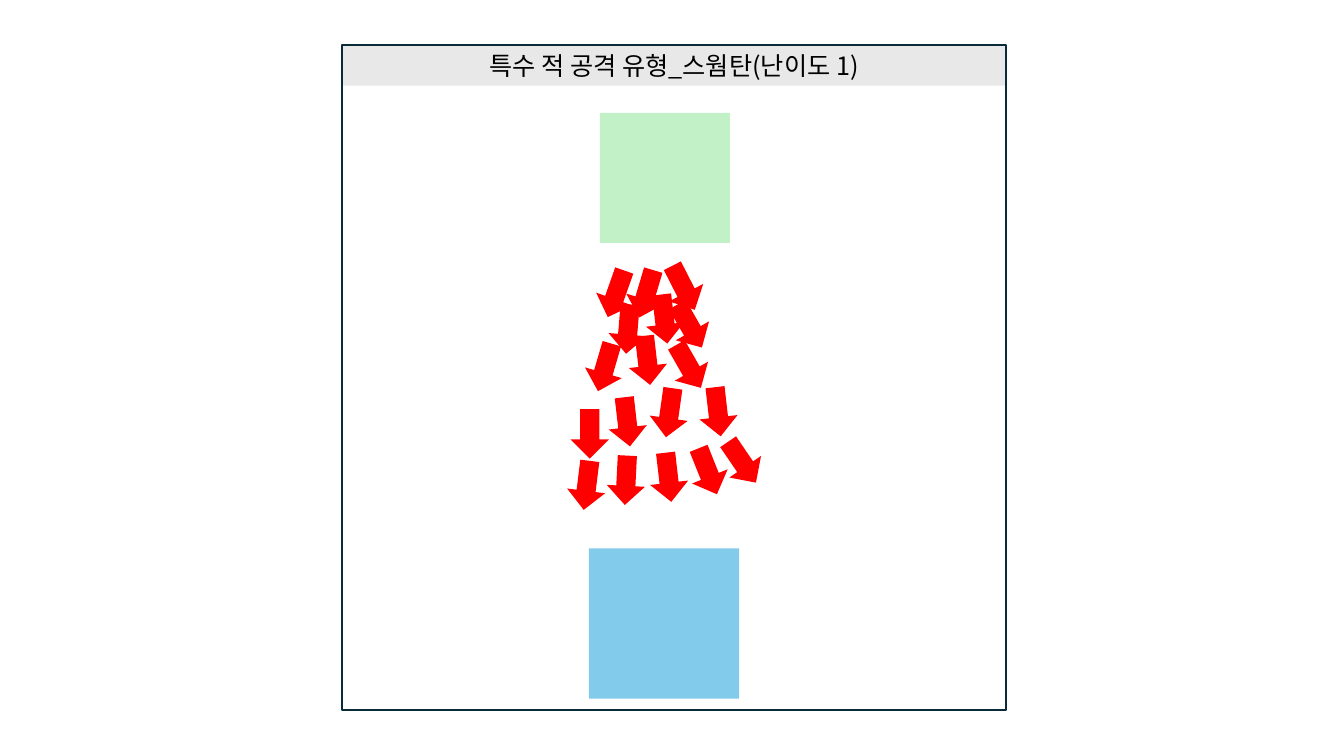
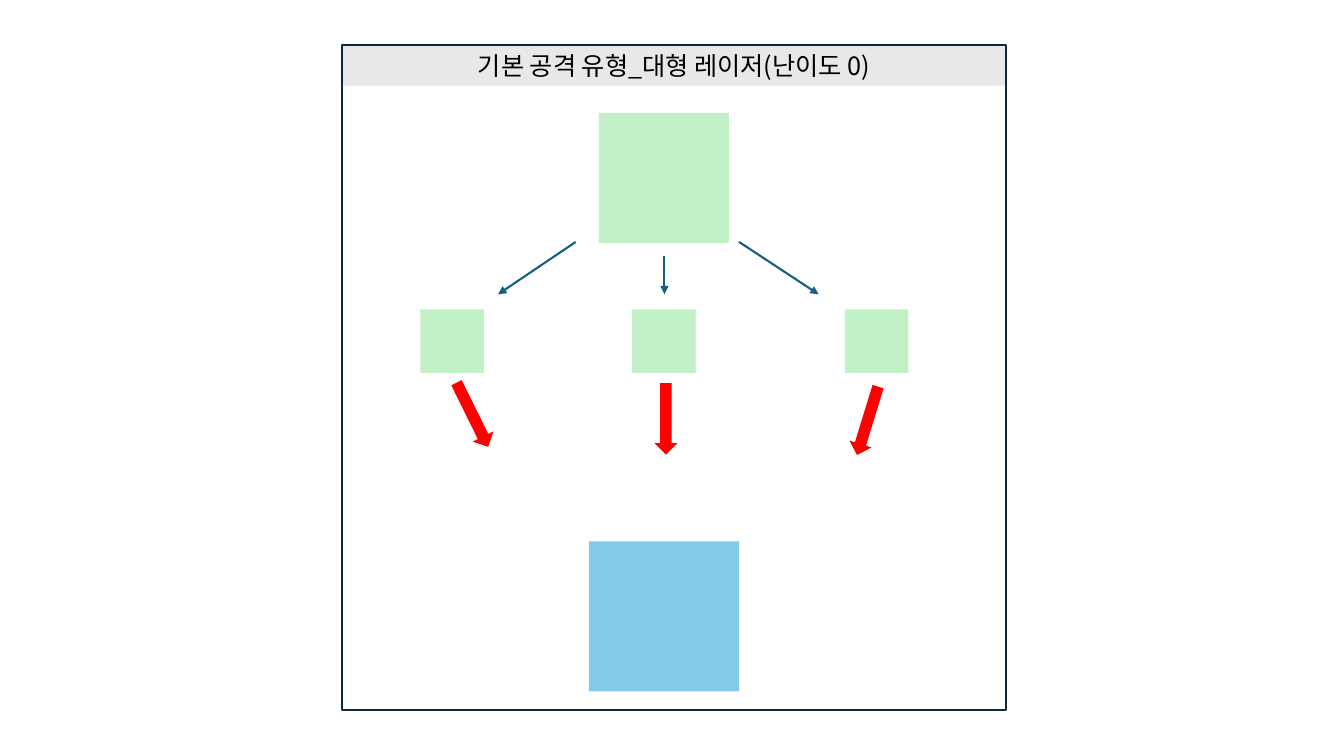
from lxml.etree import SubElement
from pptx import Presentation
from pptx.dml.color import RGBColor
from pptx.enum.shapes import MSO_CONNECTOR, MSO_SHAPE
from pptx.enum.text import MSO_ANCHOR, MSO_AUTO_SIZE, PP_ALIGN
from pptx.oxml.ns import qn
from pptx.util import Inches, Pt

FONT = "Noto Sans CJK KR"
BAND, FRAME, TEXT = "E8E8E8", "092A39", "000000"
ENEMY, PLAYER, SHOT, PATH = "C2F1C8", "83CBEB", "FF0000", "156082"
FRAME_LEFT, FRAME_TOP, FRAME_SIDE, BAND_HEIGHT = 3.39, 0.45, 6.59, 0.4


def add_box(page, kind, left, top, width, height, fill=None, line=None, turn=0):
    box = page.shapes.add_shape(
        kind, Inches(left), Inches(top), Inches(width), Inches(height))
    box.shadow.inherit = False
    box.rotation = turn
    if fill:
        box.fill.solid()
        box.fill.fore_color.rgb = RGBColor.from_string(fill)
    else:
        box.fill.background()
    if line:
        box.line.color.rgb = RGBColor.from_string(line)
        box.line.width = Pt(1.5)
    else:
        box.line.fill.background()


def add_page(deck, title, enemy_left, player_top):
    """Add a slide with the title band, the frame, the enemy and the player."""
    page = deck.slides.add_slide(deck.slide_layouts[5])
    band = page.shapes.title
    band.left, band.top = Inches(FRAME_LEFT), Inches(FRAME_TOP)
    band.width, band.height = Inches(FRAME_SIDE), Inches(BAND_HEIGHT)
    band.fill.solid()
    band.fill.fore_color.rgb = RGBColor.from_string(BAND)
    band.text_frame.auto_size = MSO_AUTO_SIZE.NONE
    band.text_frame.vertical_anchor = MSO_ANCHOR.MIDDLE
    para = band.text_frame.paragraphs[0]
    para.alignment = PP_ALIGN.CENTER
    span = para.add_run()
    span.text = title
    span.font.size = Pt(18)
    span.font.name = FONT
    span.font.color.rgb = RGBColor.from_string(TEXT)
    SubElement(span.font._element, qn("a:ea"), typeface=FONT)

    add_box(page, MSO_SHAPE.RECTANGLE, enemy_left, 1.12, 1.29, 1.29, fill=ENEMY)
    add_box(page, MSO_SHAPE.RECTANGLE, 5.84, player_top, 1.49, 1.49, fill=PLAYER)
    add_box(page, MSO_SHAPE.RECTANGLE, FRAME_LEFT, FRAME_TOP, FRAME_SIDE, FRAME_SIDE,
            line=FRAME)
    return page


deck = Presentation()
deck.slide_width, deck.slide_height = Inches(13.33), Inches(7.5)

# Swarm shots: left, top, rotation
swarm_page = add_page(deck, "특수 적 공격 유형_스웜탄(난이도 1)", 5.95, 5.44)
swarm = [
    (5.92, 2.67, 19.5), (6.22, 2.67, 16.5), (6.59, 2.61, 333),
    (6.04, 3.02, 4.8), (6.4, 2.92, 353.4), (6.65, 2.99, 330.3),
    (5.81, 3.4, 16.3), (6.23, 3.33, 353.4), (6.64, 3.39, 330.3),
    (5.66, 4.06, 0), (6.03, 3.94, 353.4), (6.45, 3.85, 8.1), (6.93, 3.84, 353.4),
    (5.63, 4.57, 7.1), (6.02, 4.52, 2.9), (6.44, 4.49, 353.4),
    (6.83, 4.43, 338.3), (7.17, 4.34, 325.7),
]
for left, top, turn in swarm:
    add_box(swarm_page, MSO_SHAPE.DOWN_ARROW, left, top, 0.38, 0.49, fill=SHOT, turn=turn)

# Large lasers: three small enemies, each with its shot and the path it came by
laser_page = add_page(deck, "기본 공격 유형_대형 레이저(난이도 0)", 5.94, 5.37)
for left in (4.17, 6.27, 8.38):
    add_box(laser_page, MSO_SHAPE.RECTANGLE, left, 3.07, 0.63, 0.63, fill=ENEMY)
for left, top, turn in [(4.57, 3.76, 333.7), (6.49, 3.8, 0), (8.49, 3.82, 17.1)]:
    add_box(laser_page, MSO_SHAPE.DOWN_ARROW, left, top, 0.23, 0.71, fill=SHOT, turn=turn)
for start_x, start_y, end_x in [(5.71, 2.4, 4.94), (6.59, 2.54, 6.59), (7.33, 2.4, 8.12)]:
    arrow = laser_page.shapes.add_connector(
        MSO_CONNECTOR.STRAIGHT,
        Inches(start_x), Inches(start_y), Inches(end_x), Inches(2.92))
    arrow.line.color.rgb = RGBColor.from_string(PATH)
    arrow.line.width = Pt(1.5)
    SubElement(arrow.line._get_or_add_ln(), qn("a:tailEnd"), type="triangle")
    SubElement(arrow._element.spPr, qn("a:effectLst"))

deck.save("out.pptx")
